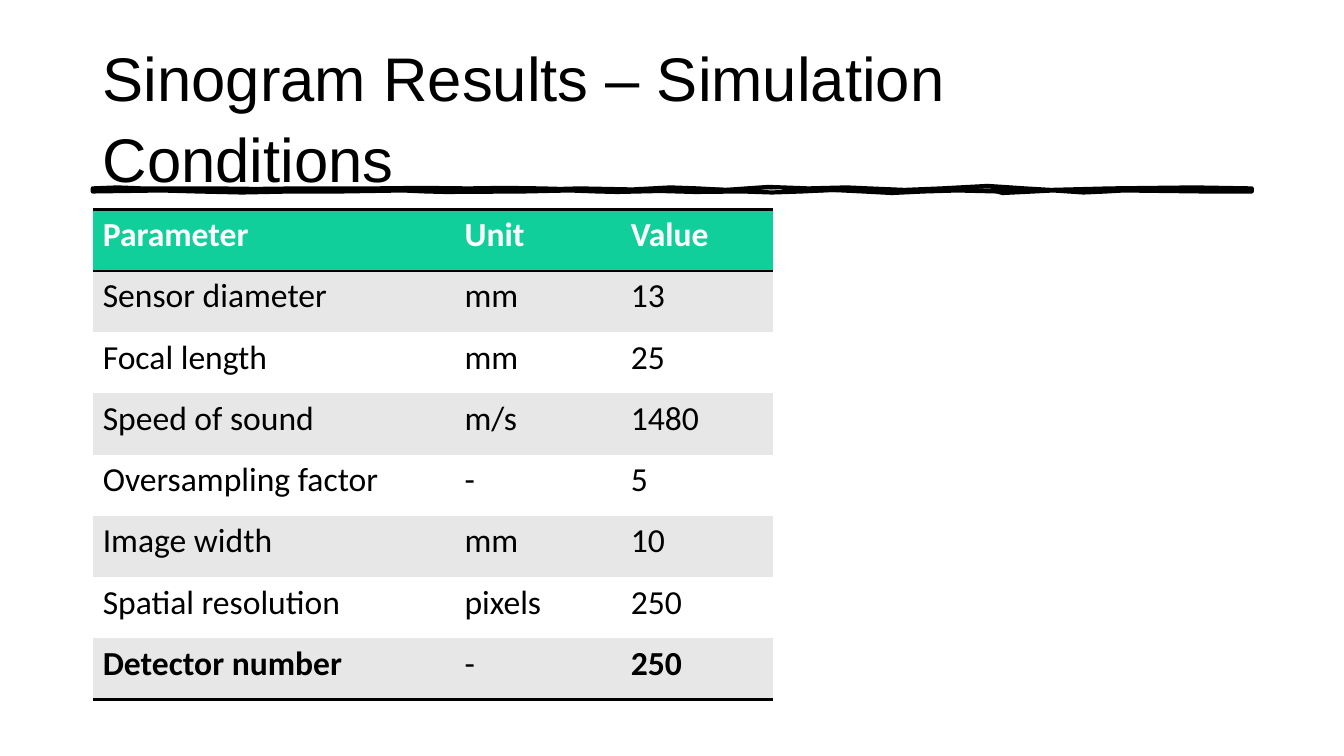
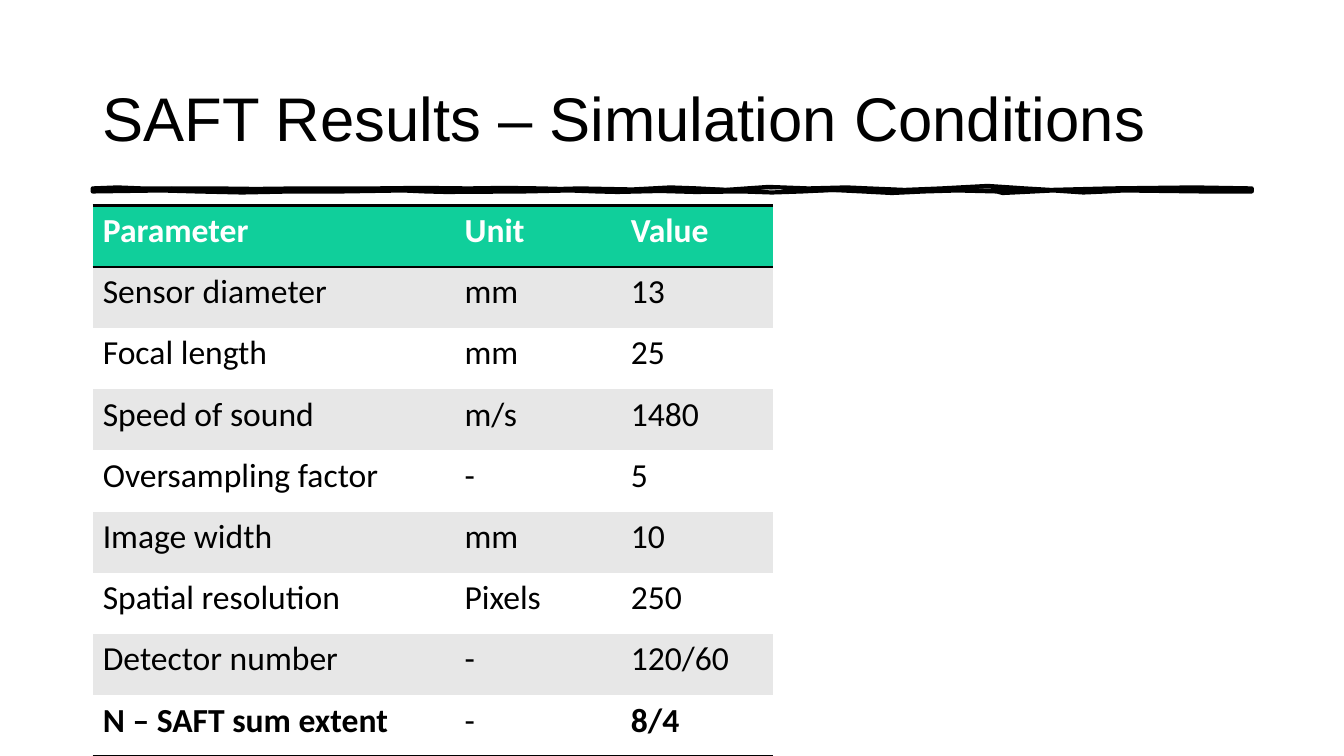
from lxml.etree import SubElement
from pptx import Presentation
from pptx.dml.color import RGBColor
from pptx.enum.text import MSO_ANCHOR, MSO_AUTO_SIZE, PP_ALIGN
from pptx.oxml import parse_xml
from pptx.oxml.ns import nsdecls, qn
from pptx.util import Pt

PX = 4572  # EMU; 200 px to the inch
WIDE, HIGH = 2667, 1500
LEFT, SPAN = 184, 2300

BLACK = RGBColor(0x00, 0x00, 0x00)
WHITE = RGBColor(0xFF, 0xFF, 0xFF)
GREEN = RGBColor(0x10, 0xCF, 0x9B)
GREY = RGBColor(0xE7, 0xE7, 0xE7)

TITLE = dict(name="Arial", size=Pt(44), bold=False)
CELL = dict(name="Calibri", size=Pt(24))
COLS = (718, 330, 302)
PLAIN = "{2D5ABB26-0587-4C30-8999-92F81FD0307C}"

# Brush stroke under the title: a drawn outline and a filled core
EDGE = (
    (184, 374), (233, 372), (282, 374), (424, 374), (508, 375), (592, 374),
    (742, 374), (836, 373), (930, 374), (1000, 373), (1074, 374), (1112, 375),
    (1150, 374), (1255, 376), (1294, 374), (1330, 372), (1385, 374),
    (1440, 377), (1482, 374), (1525, 371), (1604, 374), (1680, 372),
    (1724, 374), (1795, 377), (1868, 374), (1960, 369), (2034, 374),
    (2085, 377), (2202, 374), (2370, 372), (2484, 374), (2484, 380),
    (2386, 380), (2230, 378), (2196, 380), (2150, 382), (2090, 378),
    (2052, 380), (1990, 383), (1978, 380), (1900, 378), (1834, 380),
    (1770, 383), (1712, 380), (1652, 377), (1592, 380), (1532, 382),
    (1472, 380), (1380, 381), (1310, 379), (1225, 381), (1184, 380),
    (1130, 378), (1040, 380), (885, 381), (844, 380), (800, 378),
    (678, 380), (580, 380), (480, 382), (390, 380), (320, 378), (184, 380),
)
CORE = (
    (184, 374), (244, 377), (304, 374), (341, 371), (378, 374), (430, 375),
    (530, 373), (568, 374), (630, 376), (690, 374), (750, 372), (810, 374),
    (890, 376), (1000, 374), (1230, 375), (1288, 374), (1385, 371),
    (1478, 374), (1550, 378), (1620, 374), (1700, 371), (1810, 374),
    (1932, 374), (2010, 373), (2052, 374), (2135, 378), (2218, 374),
    (2280, 370), (2340, 374), (2390, 376), (2484, 374), (2484, 380),
    (2440, 381), (2360, 378), (2316, 380), (2242, 380), (2170, 381),
    (2090, 380), (1990, 383), (1954, 380), (1915, 378), (1850, 382),
    (1810, 380), (1770, 377), (1712, 380), (1610, 382), (1570, 380),
    (1530, 376), (1494, 380), (1420, 380), (1340, 377), (1276, 380),
    (1230, 383), (1178, 380), (1090, 381), (1012, 380), (810, 381),
    (746, 380), (710, 378), (672, 380), (590, 382), (506, 380), (408, 380),
    (332, 380), (250, 382), (184, 380),
)

HEAD = ("Parameter", "Unit", "Value")
BASE = (
    ("Sensor diameter", "mm", "13"),
    ("Focal length", "mm", "25"),
    ("Speed of sound", "m/s", "1480"),
    ("Oversampling factor", "-", "5"),
    ("Image width", "mm", "10"),
)
PAGES = (
    ("Sinogram Results – Simulation Conditions", 416, (
        ("Spatial resolution", "pixels", "250"),
        ("Detector number", "-", "250"),
    )),
    ("SAFT Results – Simulation Conditions", 408, (
        ("Spatial resolution", "Pixels", "250"),
        ("Detector number", "-", "120/60"),
        ("N – SAFT sum extent", "-", "8/4"),
    )),
)


def px(*sizes):
    """Turn px lengths into EMU."""
    return [size * PX for size in sizes]


def style(font, form, color):
    for key, value in form.items():
        setattr(font, key, value)
    font.color.rgb = color


def border(cell, sides):
    """Add 2 pt black lines on the sides, such as "TB", in schema order."""
    props = cell._tc.get_or_add_tcPr()
    for spot, side in enumerate(sides):
        line = parse_xml(f'<a:ln{side} {nsdecls("a")} w="{Pt(2)}"/>')
        fill = SubElement(line, qn("a:solidFill"))
        SubElement(fill, qn("a:srgbClr"), val=str(BLACK))
        props.insert(spot, line)


class Deck:
    """Holds the presentation and the current slide."""

    def __init__(self):
        self.prs = Presentation()
        self.prs.slide_width, self.prs.slide_height = px(WIDE, HIGH)
        self.slide = None

    def page(self, text):
        self.slide = self.prs.slides.add_slide(self.prs.slide_layouts[5])
        self.brush(EDGE, False)
        self.brush(CORE, True)
        self.title(text)

    def brush(self, points, solid):
        pen = self.slide.shapes.build_freeform(*points[0], scale=PX)
        pen.add_line_segments(points[1:], close=True)
        shape = pen.convert_to_shape()
        shape.shadow.inherit = False
        paint, blank = shape.fill, shape.line.fill
        if not solid:
            paint, blank = blank, paint
            shape.line.width = Pt(3)
        paint.solid()
        paint.fore_color.rgb = BLACK
        blank.background()

    def title(self, text):
        box = self.slide.shapes.title
        box.left, box.top, box.width, box.height = px(LEFT, 80, SPAN, 290)
        frame = box.text_frame
        frame.text = text
        frame.auto_size = MSO_AUTO_SIZE.NONE
        frame.vertical_anchor = MSO_ANCHOR.MIDDLE
        para = frame.paragraphs[0]
        para.alignment = PP_ALIGN.LEFT
        para.line_spacing = 1.1
        style(para.runs[0].font, TITLE, BLACK)

    def table(self, top, rows):
        """Draw a banded table; the first row is the head, the last is bold."""
        last = len(rows) - 1
        place = px(LEFT, top, sum(COLS), len(rows) * 243 // 2)
        frame = self.slide.shapes.add_table(len(rows), len(COLS), *place)
        table = frame.table
        table.horz_banding = False
        next(frame.element.iter(qn("a:tableStyleId"))).text = PLAIN
        for col, wide in zip(table.columns, px(*COLS)):
            col.width = wide
        for i, row in enumerate(rows):
            fill = GREEN if i == 0 else GREY if i % 2 else WHITE
            sides = "TB" if i == 0 else "B" if i == last else ""
            for j, text in enumerate(row):
                cell = table.cell(i, j)
                cell.text = text
                cell.fill.solid()
                cell.fill.fore_color.rgb = fill
                border(cell, sides)
                font = cell.text_frame.paragraphs[0].runs[0].font
                bold = i == 0 or (i == last and text != "-")
                style(font, CELL | dict(bold=bold), BLACK if i else WHITE)


def main():
    deck = Deck()
    for text, top, tail in PAGES:
        deck.page(text)
        deck.table(top, (HEAD, *BASE, *tail))
    deck.prs.save("out.pptx")


if __name__ == "__main__":
    main()
